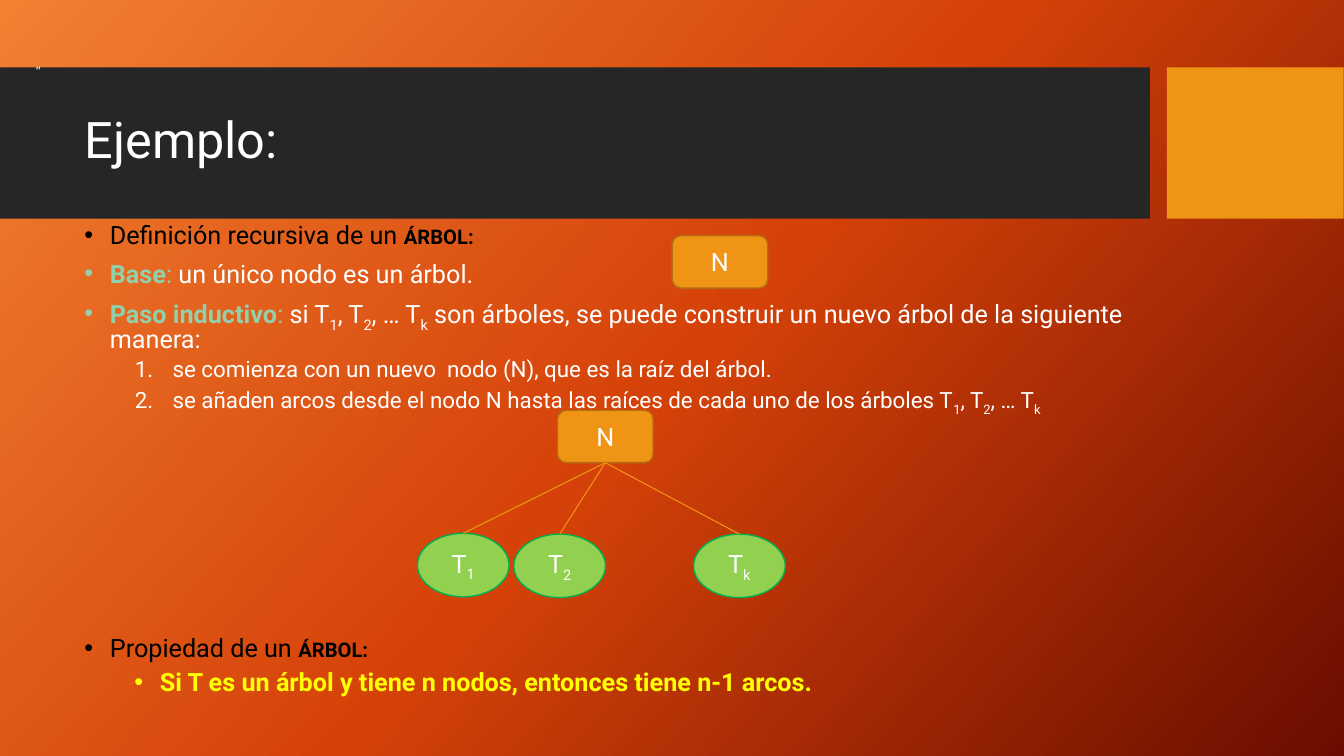
from dataclasses import dataclass

from lxml.etree import SubElement
from pptx import Presentation
from pptx.dml.color import RGBColor
from pptx.enum.shapes import MSO_CONNECTOR, MSO_SHAPE
from pptx.enum.text import MSO_ANCHOR, MSO_AUTO_SIZE, PP_ALIGN
from pptx.oxml.ns import qn
from pptx.util import Cm, Pt

FACE = "Roboto"
WHITE, BLACK, MINT, YELLOW = "FFFFFF", "000000", "92D0AB", "FFFF00"
AMBER, CHAR = "F09415", "262626"


@dataclass
class Run:
    text: str
    color: str = WHITE
    bold: bool = False
    caps: bool = False


@dataclass
class Item:
    runs: list[Run]
    level: int = 0
    size: int = 18
    margin: float = 0.64
    hang: float = 0.64
    number: bool = False


@dataclass
class Node:
    label: str
    left: float
    top: float
    width: float = 2.41
    height: float = 1.32
    kind: MSO_SHAPE = MSO_SHAPE.ROUNDED_RECTANGLE
    fill: str = AMBER
    line: str = "B26D10"


@dataclass
class Leaf(Node):
    width: float = 2.31
    height: float = 1.6
    kind: MSO_SHAPE = MSO_SHAPE.OVAL
    fill: str = "92D050"
    line: str = "00B050"


def rgb(code: str) -> RGBColor:
    return RGBColor.from_string(code)


def apply(target, values: dict) -> None:
    for name, value in values.items():
        setattr(target, name, value)


def add_run(para, run: Run, size: float, face: str = FACE) -> None:
    """Write a run; the letter after each underscore is a subscript."""
    head, *rest = run.text.split("_")
    parts = [(head, False)]
    for part in rest:
        parts += [(part[0], True), (part[1:], False)]
    for text, below in parts:
        if not text:
            continue
        piece = para.add_run()
        piece.text = text
        apply(piece.font, {"name": face, "size": Pt(size), "bold": run.bold})
        piece.font.color.rgb = rgb(run.color)
        props = piece.font._element
        if below:
            props.set("baseline", "-25000")
        if run.caps:
            props.set("cap", "small")


def add_list(slide, box: tuple, items: list[Item], pitch: float) -> None:
    frame = slide.shapes.add_textbox(*map(Cm, box)).text_frame
    apply(frame, {"word_wrap": True, "auto_size": MSO_AUTO_SIZE.NONE})
    for index, item in enumerate(items):
        para = frame.add_paragraph() if index else frame.paragraphs[0]
        apply(para, {"level": item.level, "line_spacing": pitch,
                     "space_before": Pt(5 if item.level else 10)})
        props = para._p.get_or_add_pPr()
        props.set("marL", str(Cm(item.margin)))
        props.set("indent", str(-Cm(item.hang)))
        if item.number:
            SubElement(props, qn("a:buFont"), typeface="+mj-lt")
            SubElement(props, qn("a:buAutoNum"), type="arabicPeriod")
        else:
            SubElement(props, qn("a:buFont"), typeface="Arial")
            SubElement(props, qn("a:buChar"), char="•")
        for run in item.runs:
            add_run(para, run, item.size)


def add_band(slide, left: float, width: float, color: str) -> None:
    band = slide.shapes.add_shape(
        MSO_SHAPE.RECTANGLE, Cm(left), Cm(1.7), Cm(width), Cm(3.81))
    band.shadow.inherit = False
    band.fill.solid()
    band.fill.fore_color.rgb = rgb(color)
    band.line.fill.background()


def add_node(slide, node: Node):
    shape = slide.shapes.add_shape(
        node.kind, *map(Cm, (node.left, node.top, node.width, node.height)))
    shape.shadow.inherit = False
    shape.fill.solid()
    shape.fill.fore_color.rgb = rgb(node.fill)
    shape.line.color.rgb = rgb(node.line)
    shape.line.width = Pt(1)
    shape.text_frame.vertical_anchor = MSO_ANCHOR.MIDDLE
    para = shape.text_frame.paragraphs[0]
    para.alignment = PP_ALIGN.CENTER
    add_run(para, Run(node.label), 18)
    return shape


def add_edge(slide, root, leaf) -> None:
    """Join the foot of the root to the top of the leaf."""
    edge = slide.shapes.add_connector(MSO_CONNECTOR.STRAIGHT, 0, 0, 0, 0)
    edge.begin_connect(root, 2)
    edge.end_connect(leaf, 0)
    edge.line.color.rgb = rgb(AMBER)
    edge.line.width = Pt(0.75)
    SubElement(edge._element.spPr, qn("a:effectLst"))


def paint_back(slide, colors: list[str], angle: int) -> None:
    """Fill the background with evenly spaced gradient stops."""
    fill = slide.background.fill
    fill.gradient()
    grad = slide._element.find(".//" + qn("a:gradFill"))
    stops = grad.find(qn("a:gsLst"))
    for stop in list(stops):
        stops.remove(stop)
    for index, color in enumerate(colors):
        place = 100000 * index // (len(colors) - 1)
        stop = SubElement(stops, qn("a:gs"), pos=str(place))
        SubElement(stop, qn("a:srgbClr"), val=color)
    grad.find(qn("a:lin")).set("ang", str(angle * 60000))


def set_title(slide, text: str) -> None:
    title = slide.shapes.title
    apply(title, {"left": Cm(1.88), "top": Cm(2.08),
                  "width": Cm(26.7), "height": Cm(3)})
    apply(title.text_frame, {"vertical_anchor": MSO_ANCHOR.MIDDLE, "word_wrap": True,
                             "auto_size": MSO_AUTO_SIZE.NONE})
    para = title.text_frame.paragraphs[0]
    apply(para, {"alignment": PP_ALIGN.LEFT, "line_spacing": 0.9})
    add_run(para, Run(text), 36)
    slide.shapes._spTree.append(title._element)


def add_quote(slide) -> None:
    frame = slide.shapes.add_textbox(0, Cm(1.78), Cm(33.87), 0).text_frame
    apply(frame, {"word_wrap": False, "vertical_anchor": MSO_ANCHOR.MIDDLE,
                  "auto_size": MSO_AUTO_SIZE.SHAPE_TO_FIT_TEXT})
    para = frame.paragraphs[0]
    para._p.get_or_add_pPr().set("indent", str(Cm(0.64)))
    add_run(para, Run("”"), 8, "DejaVu Sans")


TREE = Run("árbol:", BLACK, True, True)
RULES = [
    Item([Run("Definición recursiva de un ", BLACK), TREE]),
    Item([Run("Base", MINT, True), Run(":", MINT), Run(" un único nodo es un árbol.")]),
    Item([Run("Paso inductivo", MINT, True), Run(": ", MINT),
          Run("si T_1, T_2, … T_k son árboles, se puede construir "
              "un nuevo árbol de la siguiente manera:")]),
] + [Item([Run(text)], 1, 16, 2.22, 0.95, True) for text in (
    "se comienza con un nuevo  nodo (N), que es la raíz del árbol.",
    "se añaden arcos desde el nodo N hasta las raíces de cada uno "
    "de los árboles T_1, T_2, … T_k")]
FACTS = [
    Item([Run("Propiedad de un ", BLACK), TREE]),
    Item([Run("Si T es un árbol y tiene n nodos, entonces tiene n-1 arcos.",
              YELLOW, True)], 1, margin=1.9),
]
LEAVES = [Leaf("T_1", 10.52, 13.44), Leaf("T_2", 12.95, 13.46), Leaf("T_k", 17.48, 13.46)]


def main() -> None:
    deck = Presentation()
    apply(deck, {"slide_width": Cm(33.87), "slide_height": Cm(19.05)})
    slide = deck.slides.add_slide(deck.slide_layouts[5])
    paint_back(slide, ["F18031", "D54209", "6A0D00"], 42)
    add_band(slide, 0, 28.98, CHAR)
    add_band(slide, 29.41, 4.45, AMBER)
    set_title(slide, "Ejemplo:")
    add_list(slide, (1.88, 5.56, 26.7, 5.03), RULES, 0.8)
    add_node(slide, Node("N", 16.94, 5.94))
    leaves = [add_node(slide, leaf) for leaf in LEAVES]
    root = add_node(slide, Node("N", 14.05, 10.34))
    for leaf in leaves:
        add_edge(slide, root, leaf)
    add_quote(slide)
    add_list(slide, (1.88, 15.9, 26.7, 2.34), FACTS, 0.9)
    deck.save("out.pptx")


if __name__ == "__main__":
    main()
